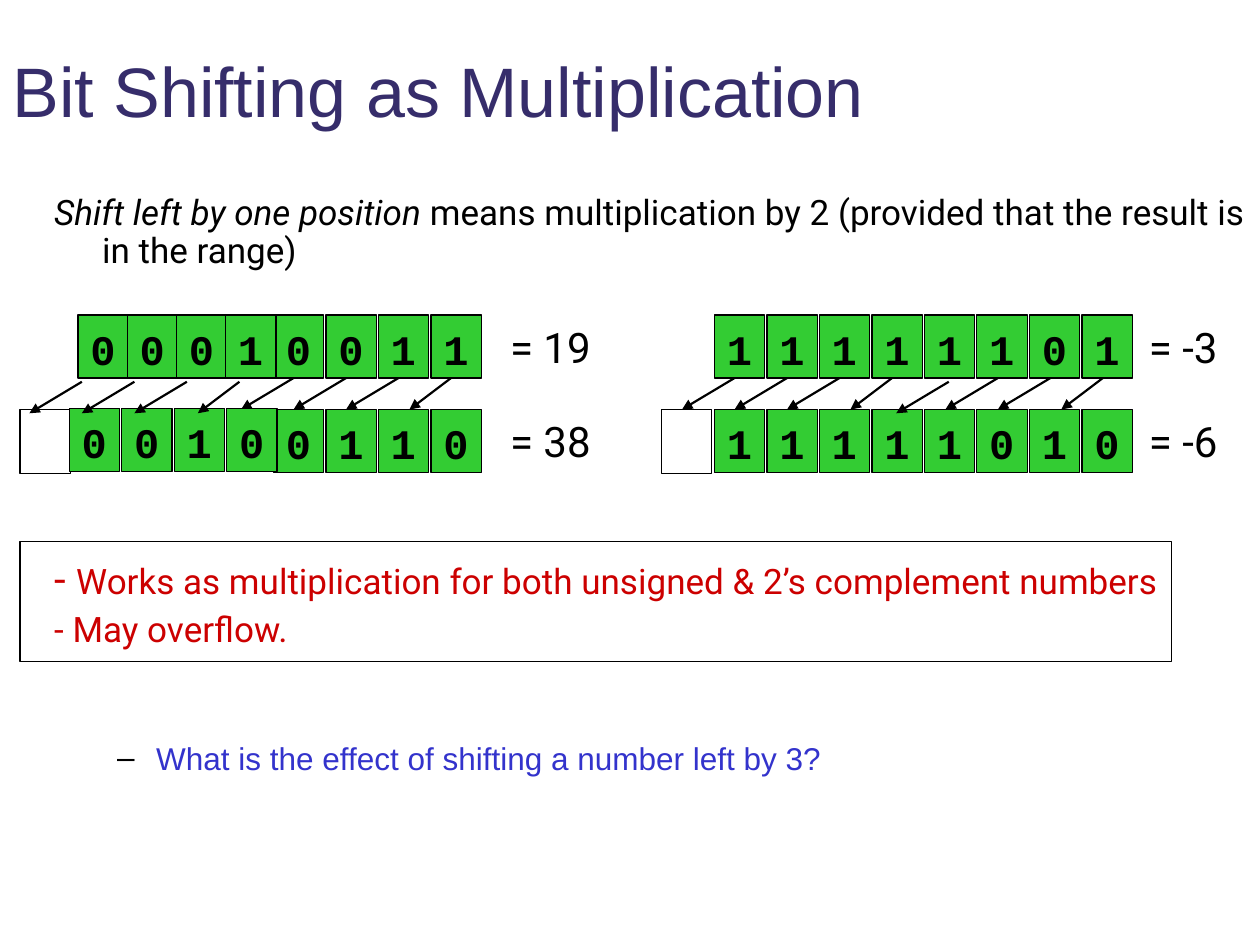
from dataclasses import dataclass
from typing import Any

from lxml import etree
from pptx import Presentation, util as u
from pptx.dml.color import RGBColor
from pptx.enum import shapes as sh, text as tx
from pptx.oxml.ns import qn


@dataclass(frozen=True)
class Theme:
    black: str = "000000"
    white: str = "FFFFFF"
    green: str = "33CC33"
    red: str = "CC0000"
    blue: str = "3333CC"
    navy: str = "362D6B"
    sans: str = "Arial"
    text: str = "Roboto"
    mono: str = "Courier New"
    head: float = 40
    big: float = 24
    mid: float = 20
    small: float = 18
    thin: float = 0.75
    bold: float = 1.25


@dataclass(frozen=True)
class Bits:
    x: float
    y: float
    word: str
    step: float = 5 / 12


@dataclass(frozen=True)
class Moves:
    x: float
    y: float
    count: int
    steep: bool = True  # the last arrow of the run is shorter


T = Theme()
STEP = 5 / 12
WIDE, HIGH = 0.4, 0.5
TOP, LOW = 2.5, 3.25


def color(code: str) -> RGBColor:
    return RGBColor.from_string(code)


def put(para: Any, words: str, *, size: float, font: str = T.text, ink: str = T.black,
        bold: bool = False, slant: bool = False) -> None:
    """Add formatted words to a paragraph."""
    run = para.add_run()
    run.text = words
    face = run.font
    face.name, face.size = font, u.Pt(size)
    face.bold, face.italic = bold, slant
    face.color.rgb = color(ink)


def place(item: Any, x: float, y: float, w: float, h: float) -> None:
    item.left, item.top = u.Inches(x), u.Inches(y)
    item.width, item.height = u.Inches(w), u.Inches(h)


def indent(para: Any, left: float, hang: float, mark: str = "") -> None:
    """Set the hanging indent and the bullet of a paragraph."""
    prop = para._p.get_or_add_pPr()
    prop.set("marL", str(u.Inches(left)))
    prop.set("indent", str(-u.Inches(hang)))
    if mark:
        tint = etree.SubElement(prop, qn("a:buClr"))
        etree.SubElement(tint, qn("a:srgbClr"), val=T.black)
        etree.SubElement(prop, qn("a:buChar"), char=mark)
    else:
        etree.SubElement(prop, qn("a:buNone"))


def box(slide: Any, x: float, y: float, w: float, h: float, fill: str = "") -> Any:
    rect = slide.shapes.add_shape(sh.MSO_SHAPE.RECTANGLE, *map(u.Inches, (x, y, w, h)))
    rect.shadow.inherit = False
    if fill:
        rect.fill.solid()
        rect.fill.fore_color.rgb = color(fill)
    else:
        rect.fill.background()
    rect.line.color.rgb = color(T.black)
    rect.line.width = u.Pt(T.thin)
    return rect


def draw_bits(slide: Any, bits: Bits) -> None:
    for i, bit in enumerate(bits.word):
        frame = box(slide, bits.x + i * bits.step, bits.y, WIDE, HIGH, T.green).text_frame
        frame.margin_top = u.Inches(0.08)
        frame.vertical_anchor = tx.MSO_ANCHOR.MIDDLE
        para = frame.paragraphs[0]
        para.alignment = tx.PP_ALIGN.LEFT
        put(para, bit, size=T.big, font=T.mono, bold=True)


def draw_moves(slide: Any, moves: Moves) -> None:
    for i in range(moves.count):
        x = moves.x + i * STEP
        short = moves.steep and i == moves.count - 1
        end = x - (0.33 if short else STEP)
        line = slide.shapes.add_connector(
            sh.MSO_CONNECTOR.STRAIGHT, *map(u.Inches, (x, moves.y, end, moves.y + 0.25)))
        line.line.color.rgb = color(T.black)
        line.line.width = u.Pt(T.bold)
        etree.SubElement(line.line._get_or_add_ln(), qn("a:tailEnd"), type="triangle")
        etree.SubElement(line._element.spPr, qn("a:effectLst"))


def draw_label(slide: Any, x: float, y: float, w: float, words: str) -> None:
    frame = slide.shapes.add_textbox(*map(u.Inches, (x, y, w, HIGH))).text_frame
    frame.word_wrap = False
    put(frame.paragraphs[0], words, size=T.big)


def fill_text(slide: Any) -> None:
    # Title
    title = slide.shapes.title
    place(title, 0, 0.17, 10, 1.08)
    title.text_frame.auto_size = tx.MSO_AUTO_SIZE.NONE
    head = title.text_frame.paragraphs[0]
    head.alignment = tx.PP_ALIGN.LEFT
    put(head, "Bit Shifting as Multiplication", size=T.head, font=T.sans, ink=T.navy)

    # Body
    body = slide.placeholders[1]
    place(body, 0.33, 1.5, 9.67, 5.34)
    frame = body.text_frame
    frame.auto_size = tx.MSO_AUTO_SIZE.NONE
    rule, works, flow, ask = [frame.paragraphs[0]] + [frame.add_paragraph() for _ in range(3)]
    for para, gap in ((rule, 0), (works, 164), (flow, 5)):
        indent(para, 0.38, 0.38)
        para.line_spacing, para.space_before = 0.9, u.Pt(gap)
    put(rule, "Shift left by one position ", size=T.mid, slant=True)
    put(rule, "means multiplication by 2 (provided that the result is in the range)", size=T.mid)
    put(works, "- ", size=T.big, ink=T.red)
    put(works, "Works as multiplication for both unsigned & 2’s complement numbers",
        size=T.mid, ink=T.red)
    put(flow, "- May overflow.", size=T.mid, ink=T.red)
    ask.level = 1
    indent(ask, 0.81, 0.31, "–")
    ask.space_before = u.Pt(51)
    put(ask, "What is the effect of shifting a number left by 3?",
        size=T.small, font=T.sans, ink=T.blue)


def main() -> None:
    deck = Presentation()
    deck.slide_width, deck.slide_height = u.Inches(10), u.Inches(7.5)
    slide = deck.slides.add_slide(deck.slide_layouts[1])
    fill_text(slide)

    # Low half of 19 and both halves of -3, each above its shifted form
    for bits in (Bits(2.17, TOP, "0011"), Bits(2.17, LOW, "0110"),
                 Bits(5.67, TOP, "11111101"), Bits(5.67, LOW, "11111010")):
        draw_bits(slide, bits)
    for moves in (Moves(2.33, 3, 4), Moves(5.83, 3, 4),
                  Moves(7.53, 3.03, 1, False), Moves(7.92, 3, 3)):
        draw_moves(slide, moves)

    # Bits shifted out, and the frame around the remarks
    for x in (0.16, 5.25):
        box(slide, x, LOW, WIDE, 0.51, T.white)
    box(slide, 0.16, 4.3, 9.14, 0.95)

    # High half of 19
    draw_bits(slide, Bits(0.62, TOP, "0001", 0.39))
    draw_bits(slide, Bits(0.55, 3.24, "0010"))
    draw_moves(slide, Moves(0.65, 3.03, 4))

    # Values
    for x, w, pair in ((3.95, 0.86, ("= 19", "= 38")), (9.02, 0.77, ("= -3", "= -6"))):
        for y, words in zip((TOP, LOW), pair):
            draw_label(slide, x, y, w, words)

    deck.save("out.pptx")


if __name__ == "__main__":
    main()
